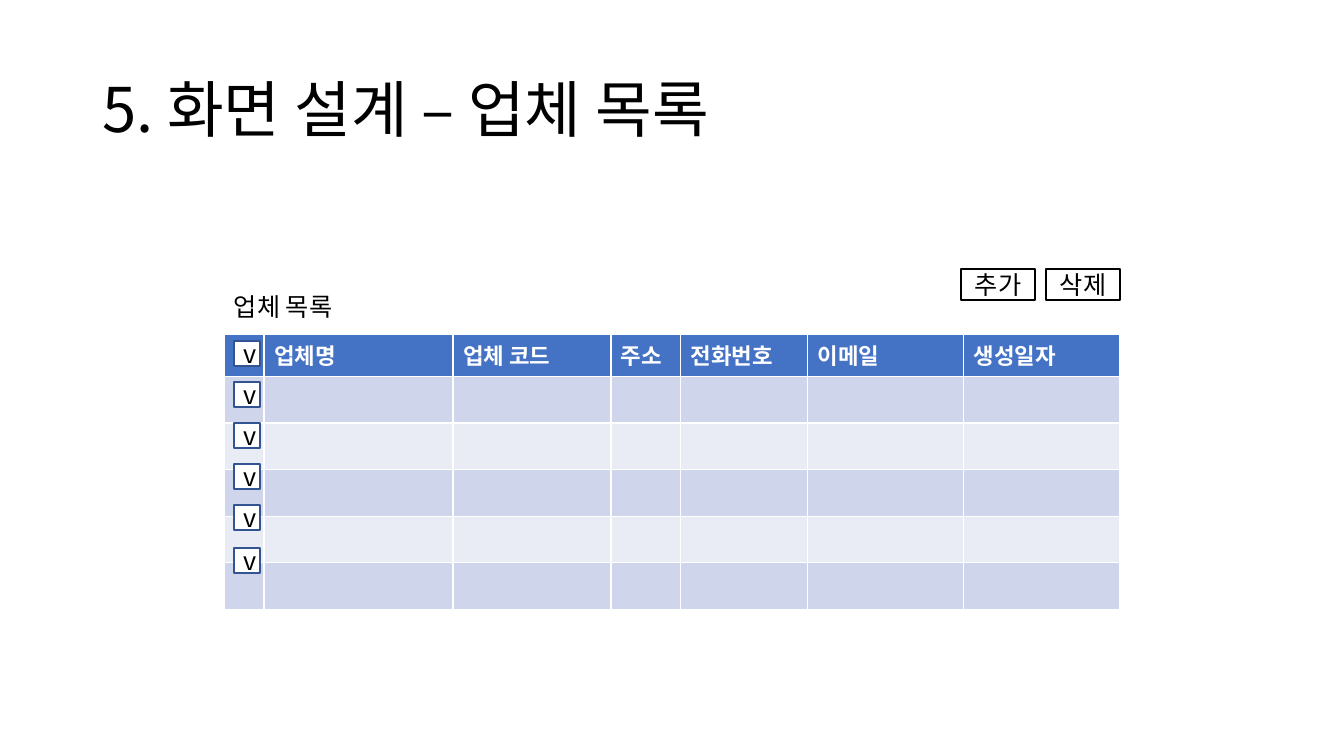
from lxml.etree import SubElement
from pptx import Presentation
from pptx.dml.color import RGBColor
from pptx.enum.shapes import MSO_SHAPE
from pptx.enum.text import MSO_ANCHOR, MSO_AUTO_SIZE, PP_ALIGN
from pptx.oxml.ns import qn
from pptx.util import Emu, Pt

FONT = "Noto Sans CJK KR"
BLACK = RGBColor(0x00, 0x00, 0x00)
WHITE = RGBColor(0xFF, 0xFF, 0xFF)
HEADER_BLUE = RGBColor(0x44, 0x72, 0xC4)
BAND_DARK = RGBColor(0xCF, 0xD5, 0xEA)
BAND_LIGHT = RGBColor(0xE9, 0xEB, 0xF5)
CHECKBOX_LINE = RGBColor(0x32, 0x54, 0x91)

SLIDE_WIDTH, SLIDE_HEIGHT = 1344, 756
HEADERS = ("", "업체명", "업체 코드", "주소", "전화번호", "이메일", "생성일자")
COLUMN_WIDTHS = (40, 189, 158, 70, 127, 156, 156)
ROW_COUNT, ROW_HEIGHT = 6, 41
TABLE_LEFT, TABLE_TOP = 224, 334
CHECKBOX_TOPS = (341, 382, 423, 464, 505, 548)


def px(length):
    return Emu(round(length * 12192000 / SLIDE_WIDTH))


def place(shape, left, top, width, height):
    shape.left, shape.top = px(left), px(top)
    shape.width, shape.height = px(width), px(height)


def set_typefaces(properties):
    for tag in ("a:latin", "a:ea"):
        SubElement(properties, qn(tag)).set("typeface", FONT)


def format_text(paragraph, size, color=BLACK, bold=False):
    for run in paragraph.runs:
        run.font.size = Pt(size)
        run.font.bold = bold
        run.font.color.rgb = color
        set_typefaces(run.font._element)


def format_empty(paragraph, size):
    properties = SubElement(paragraph._p, qn("a:endParaRPr"))
    properties.set("sz", str(size * 100))
    set_typefaces(properties)


def set_title(slide, text):
    title = slide.shapes.title
    place(title, 92, 40, 1159, 146)
    frame = title.text_frame
    frame.text = text
    frame.auto_size = MSO_AUTO_SIZE.NONE
    frame.vertical_anchor = MSO_ANCHOR.MIDDLE
    paragraph = frame.paragraphs[0]
    paragraph.alignment = PP_ALIGN.LEFT
    paragraph.line_spacing = 0.9
    format_text(paragraph, 44)


def add_label(slide, text, left, top, width, height):
    label = slide.shapes.add_textbox(px(left), px(top), px(width), px(height))
    frame = label.text_frame
    frame.text = text
    frame.word_wrap = False
    frame.auto_size = MSO_AUTO_SIZE.SHAPE_TO_FIT_TEXT
    format_text(frame.paragraphs[0], 18)


def add_box(slide, text, left, top, width, height, line_color, fill_color=None):
    box = slide.shapes.add_shape(
        MSO_SHAPE.RECTANGLE, px(left), px(top), px(width), px(height))
    box.shadow.inherit = False
    if fill_color is None:
        box.fill.background()
    else:
        box.fill.solid()
        box.fill.fore_color.rgb = fill_color
    box.line.color.rgb = line_color
    box.line.width = Pt(1)
    frame = box.text_frame
    frame.text = text
    frame.vertical_anchor = MSO_ANCHOR.MIDDLE
    frame.paragraphs[0].alignment = PP_ALIGN.CENTER
    format_text(frame.paragraphs[0], 18)


def add_company_table(slide):
    table = slide.shapes.add_table(
        ROW_COUNT, len(HEADERS), px(TABLE_LEFT), px(TABLE_TOP),
        px(sum(COLUMN_WIDTHS)), px(ROW_COUNT * ROW_HEIGHT)).table
    for column, width in zip(table.columns, COLUMN_WIDTHS):
        column.width = px(width)
    for row_index, row in enumerate(table.rows):
        row.height = px(ROW_HEIGHT)
        is_header = row_index == 0
        band = BAND_DARK if row_index % 2 else BAND_LIGHT
        for cell, header in zip(row.cells, HEADERS):
            cell.fill.solid()
            cell.fill.fore_color.rgb = HEADER_BLUE if is_header else band
            paragraph = cell.text_frame.paragraphs[0]
            if is_header and header:
                paragraph.text = header
                format_text(paragraph, 16, WHITE, True)
            else:
                format_empty(paragraph, 16 if is_header else 18)


def main():
    presentation = Presentation()
    presentation.slide_width = px(SLIDE_WIDTH)
    presentation.slide_height = px(SLIDE_HEIGHT)
    slide = presentation.slides.add_slide(presentation.slide_layouts[5])
    set_title(slide, "5. 화면 설계 – 업체 목록")
    add_company_table(slide)
    add_label(slide, "업체 목록", 224, 286, 131, 40)
    for top in CHECKBOX_TOPS:
        add_box(slide, "v", 234, top, 26, 25, CHECKBOX_LINE, WHITE)
    for text, left in (("추가", 961), ("삭제", 1046)):
        add_box(slide, text, left, 269, 74, 31, BLACK)
    presentation.save("out.pptx")


if __name__ == "__main__":
    main()
